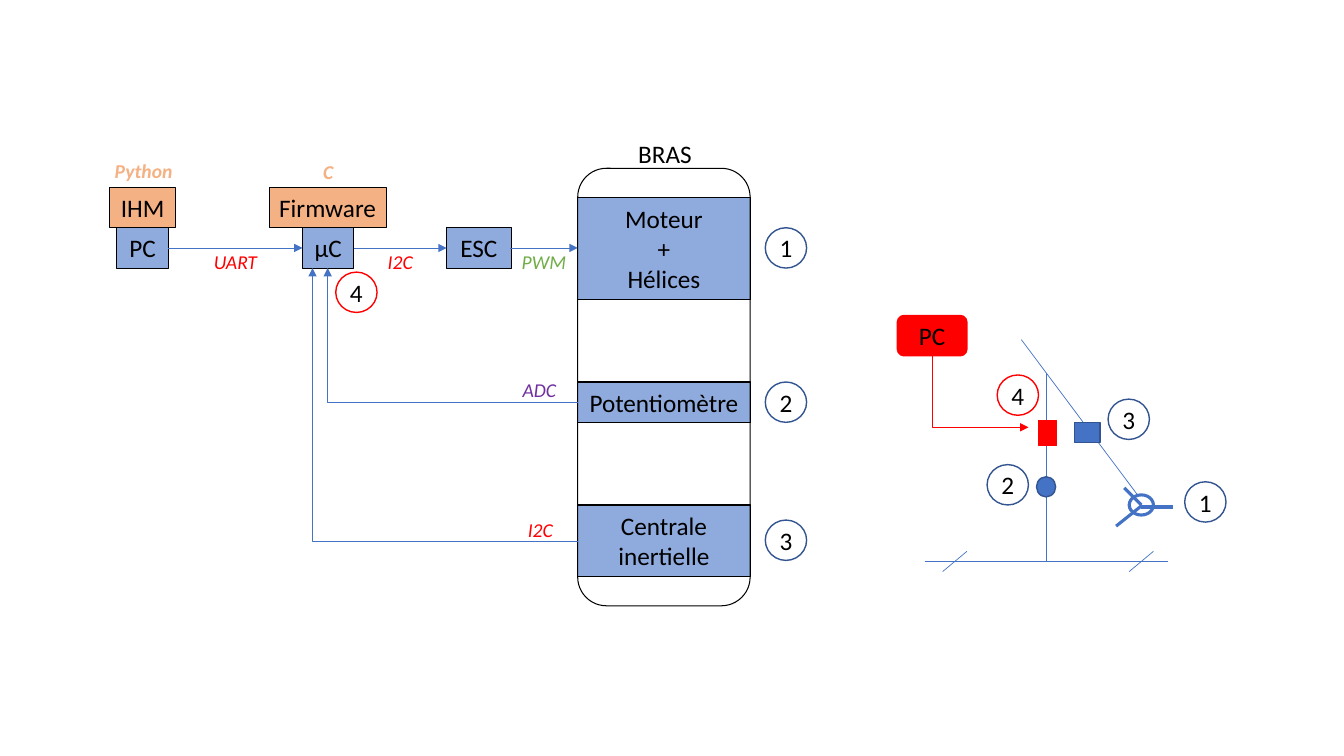
from lxml import etree
from pptx import Presentation, util as u
from pptx.dml.color import RGBColor
from pptx.enum import shapes as s, text as t
from pptx.oxml.ns import qn

BLUE, NAVY, RED, BLACK = "4472C4", "325491", "FF0000", "000000"
SKY, PEACH, PURPLE, GREEN, WHITE = "8FAADC", "F4B183", "7030A0", "70AD47", "FFFFFF"
ROW, WIRE_Y = 0.4, 2.46
ARM_X, ARM_W = 5.73, 1.71

TITLE = ("BRAS", 6.2, 1.32, 0.79)
LANGUAGES = [("Python", 1.03, 1.52, 0.79), ("C", 3.1, 1.53, 0.31)]
SIGNALS = [
    ("UART", 2, 2.43, 0.67, RED), ("I2C", 3.72, 2.43, 0.5, RED),
    ("PWM", 5.06, 2.43, 0.67, GREEN), ("ADC", 5.06, 3.7, 0.58, PURPLE),
    ("I2C", 5.11, 5.08, 0.5, RED),
]
MODULES = [
    ("IHM", 1.09, 1.86, 0.65, PEACH), ("PC", 1.16, 2.26, 0.51, SKY),
    ("Firmware", 2.67, 1.86, 1.16, PEACH), ("µC", 3, 2.26, 0.51, SKY),
    ("ESC", 4.43, 2.26, 0.64, SKY),
]
ARM_PARTS = [
    ("Moteur\n+\nHélices", 1.96, 1.01), ("Potentiomètre", 3.79, ROW),
    ("Centrale inertielle", 5.01, 0.71),
]
WIRES = [(1.67, 3), (3.51, 4.43), (5.06, ARM_X)]
FEEDBACK = [(3.99, 3.25), (5.37, 3.1)]
STAND = [
    ((9.17, 5.57), (11.58, 5.57)), ((9.35, 5.67), (9.59, 5.47)),
    ((11.2, 5.67), (11.44, 5.47)), ((10.38, 5.57), (10.38, 3.7)),
    ((11.32, 4.96), (10.13, 3.37)),
]
BLADES = [
    ((11.07, 5.22), (11.32, 5.02)), ((11.32, 5.01), (11.15, 4.84)),
    ((11.32, 5.03), (11.63, 5.03)),
]
BADGES = [
    ("1", 7.59, 2.26, NAVY), ("2", 7.59, 3.79, NAVY), ("3", 7.59, 5.16, NAVY),
    ("1", 11.75, 4.78, NAVY), ("2", 9.79, 4.61, NAVY), ("3", 10.99, 3.96, NAVY),
    ("4", 9.89, 3.72, RED), ("4", 3.33, 2.7, RED),
]

prs = Presentation()
prs.slide_width, prs.slide_height = u.Inches(13.33), u.Inches(7.5)
slide = prs.slides.add_slide(prs.slide_layouts[6])
KIND = s.MSO_SHAPE


def rgb(color):
    return RGBColor.from_string(color)


def write(frame, words, size=18, color=BLACK, bold=False, italic=False, wrap=False):
    frame.word_wrap = wrap
    frame.vertical_anchor = t.MSO_ANCHOR.MIDDLE
    frame.text = words
    for paragraph in frame.paragraphs:
        paragraph.alignment = t.PP_ALIGN.CENTER
        font = paragraph.font
        font.name, font.size, font.bold, font.italic = "Calibri", u.Pt(size), bold, italic
        font.color.rgb = rgb(color)


def label(words, x, y, width, height=0.34, **style):
    box = slide.shapes.add_textbox(*map(u.Inches, (x, y, width, height)))
    write(box.text_frame, words, **style)


def block(kind, x, y, width, height, fill, line, weight=1, words="", wrap=False):
    part = slide.shapes.add_shape(kind, *map(u.Inches, (x, y, width, height)))
    part.shadow.inherit = False
    if fill:
        part.fill.solid()
        part.fill.fore_color.rgb = rgb(fill)
    else:
        part.fill.background()
    part.line.color.rgb = rgb(line)
    part.line.width = u.Pt(weight)
    if words:
        write(part.text_frame, words, wrap=wrap)


def link(start, end, color=BLUE, weight=0.5, arrow=False, kind=s.MSO_CONNECTOR.STRAIGHT):
    wire = slide.shapes.add_connector(kind, *map(u.Inches, (*start, *end)))
    wire.line.color.rgb = rgb(color)
    wire.line.width = u.Pt(weight)
    if arrow:
        etree.SubElement(wire.line._get_or_add_ln(), qn("a:tailEnd"), type="triangle")
    etree.SubElement(wire._element.spPr, qn("a:effectLst"))
    return wire


def corner(start, end, color=BLUE, down_first=False):
    """Draw a one-bend arrow, a quarter turn round its centre if it starts vertically."""
    if down_first:
        (x1, y1), (x2, y2) = start, end
        mid_x, mid_y = (x1 + x2) / 2, (y1 + y2) / 2
        half_w, half_h = (y2 - y1) / 2, (x2 - x1) / 2
        start, end = (mid_x + half_w, mid_y - half_h), (mid_x - half_w, mid_y + half_h)
    properties = link(start, end, color, arrow=True, kind=s.MSO_CONNECTOR.ELBOW)._element.spPr
    properties.find(qn("a:prstGeom")).set("prst", "bentConnector2")
    if down_first:
        properties.find(qn("a:xfrm")).set("rot", str(270 * 60000))


label(*TITLE, height=ROW)
for words, x, y, width, fill in MODULES:
    block(KIND.RECTANGLE, x, y, width, ROW, fill, BLACK, 0.75, words)
for words, y, height in ARM_PARTS:
    block(KIND.RECTANGLE, ARM_X, y, ARM_W, height, SKY, BLACK, 0.75, words, wrap=True)
block(KIND.ROUNDED_RECTANGLE, ARM_X, 1.67, ARM_W, 4.34, None, BLACK, 0.75)
for left, right in WIRES:
    link((left, WIRE_Y), (right, WIRE_Y), arrow=True)
for y, x in FEEDBACK:
    corner((ARM_X, y), (x, 2.66))
for language in LANGUAGES:
    label(*language, size=14, color=PEACH, bold=True, italic=True)
for *place, color in SIGNALS:
    label(*place, size=14, color=color, italic=True)

for start, end in STAND:
    link(start, end)
block(KIND.OVAL, 11.2, 4.91, 0.24, 0.2, WHITE, BLUE, 2.25)
for start, end in BLADES:
    link(start, end, weight=2.25)
block(KIND.RECTANGLE, 10.66, 4.19, 0.25, 0.2, BLUE, NAVY)
block(KIND.OVAL, 10.28, 4.73, 0.19, 0.2, BLUE, NAVY)
block(KIND.RECTANGLE, 10.3, 4.17, 0.18, 0.25, RED, RED)
for words, x, y, line in BADGES:
    block(KIND.OVAL, x, y, 0.41, ROW, None, line, words=words)
block(KIND.ROUNDED_RECTANGLE, 8.9, 3.13, 0.69, ROW, RED, RED, words="PC")
corner((9.25, 3.53), (10.2, 4.24), RED, down_first=True)

prs.save("out.pptx")
